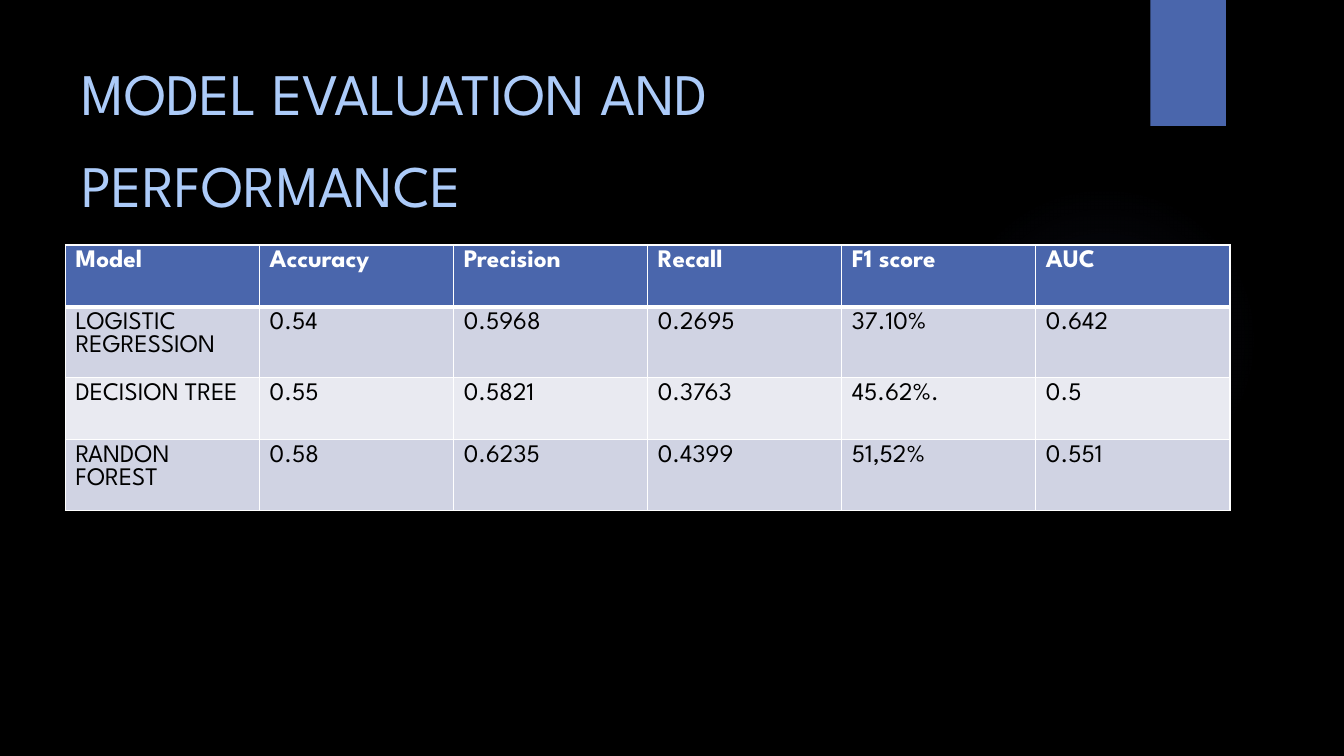
from lxml import etree
from pptx import Presentation
from pptx.dml.color import RGBColor
from pptx.enum.shapes import MSO_SHAPE as SHAPE
from pptx.enum.text import MSO_ANCHOR as ANCHOR
from pptx.oxml import parse_xml
from pptx.oxml.ns import nsdecls, qn
from pptx.util import Inches, Pt

FONT = "League Spartan"
BLACK = RGBColor(0x00, 0x00, 0x00)
WHITE = RGBColor(0xFF, 0xFF, 0xFF)
BLUE = RGBColor(0x4A, 0x66, 0xAC)
SKY = RGBColor(0xAC, 0xCB, 0xF9)
GLOW = RGBColor(0x5C, 0x64, 0xB7)
BAND_DARK = RGBColor(0xD0, 0xD3, 0xE3)
BAND_LIGHT = RGBColor(0xE9, 0xEA, 0xF1)

GLOW_STOPS = [(0, 7), (36, 6), (69, 0), (100, 0)]  # position %, opacity %
COL_WIDTH, ROW_HEIGHT = 1.925, 0.615
SCORES = [
    ["Model", "Accuracy", "Precision", "Recall", "F1 score", "AUC"],
    ["LOGISTIC REGRESSION", "0.54", "0.5968", "0.2695", "37.10%", "0.642"],
    ["DECISION TREE", "0.55", "0.5821", "0.3763", "45.62%.", "0.5"],
    ["RANDON FOREST", "0.58", "0.6235", "0.4399", "51,52%", "0.551"],
]


def box(*lengths):
    return [Inches(length) for length in lengths]


def style_run(r, size, color, bold=False):
    r.font.name = FONT
    r.font.size = Pt(size)
    r.font.bold = bold
    r.font.color.rgb = color


def add_plain_shape(slide, kind, place, color):
    sp = slide.shapes.add_shape(kind, *box(*place))
    sp.shadow.inherit = False
    sp.fill.solid()
    sp.fill.fore_color.rgb = color
    sp.line.fill.background()
    return sp


def add_glow(slide, place):
    """Draw a disc that fades out from its centre."""
    sp = add_plain_shape(slide, SHAPE.OVAL, place, GLOW)
    stops = "".join(
        f'<a:gs pos="{pos * 1000}"><a:srgbClr val="{GLOW}">'
        f'<a:alpha val="{alpha * 1000}"/></a:srgbClr></a:gs>'
        for pos, alpha in GLOW_STOPS)
    gradient = parse_xml(
        f'<a:gradFill {nsdecls("a")}><a:gsLst>{stops}</a:gsLst>'
        '<a:path path="circle"><a:fillToRect l="50000" t="50000" r="50000" b="50000"/>'
        '</a:path></a:gradFill>')
    props = sp.element.spPr
    props.replace(props.find(qn("a:solidFill")), gradient)


def add_title(slide, text, place):
    tf = slide.shapes.add_textbox(*box(*place)).text_frame
    tf.word_wrap = True
    tf.vertical_anchor = ANCHOR.MIDDLE
    p = tf.paragraphs[0]
    p.text = text
    p.line_spacing = 1.3
    style_run(p.runs[0], 42, SKY)


def set_borders(cell, widths):
    """Give the cell white edges; widths maps L, R, T, B to points."""
    props = cell._tc.get_or_add_tcPr()
    for index, (side, width) in enumerate(widths.items()):
        line = etree.Element(qn(f"a:ln{side}"), w=str(Pt(width)))
        fill = etree.SubElement(line, qn("a:solidFill"))
        etree.SubElement(fill, qn("a:srgbClr"), val=str(WHITE))
        props.insert(index, line)


def add_score_table(slide, rows, left, top):
    n_rows, n_cols = len(rows), len(rows[0])
    place = box(left, top, n_cols * COL_WIDTH, n_rows * ROW_HEIGHT)
    table = slide.shapes.add_table(n_rows, n_cols, *place).table
    for i, row in enumerate(rows):
        header = i == 0
        fill = BLUE if header else BAND_DARK if i % 2 else BAND_LIGHT
        widths = {"L": 1, "R": 1, "T": 3 if i == 1 else 1, "B": 3 if header else 1}
        for j, text in enumerate(row):
            cell = table.cell(i, j)
            cell.fill.solid()
            cell.fill.fore_color.rgb = fill
            set_borders(cell, widths)
            cell.text_frame.text = text
            r = cell.text_frame.paragraphs[0].runs[0]
            style_run(r, 18, WHITE if header else BLACK, header)


def main():
    prs = Presentation()
    prs.slide_width, prs.slide_height = box(13.33, 7.5)
    slide = prs.slides.add_slide(prs.slide_layouts[6])
    slide.background.fill.solid()
    slide.background.fill.fore_color.rgb = BLACK
    add_glow(slide, (9.41, 1.83, 3.08, 3.08))
    add_plain_shape(slide, SHAPE.RECTANGLE, (11.41, 0, 0.75, 1.25), BLUE)
    add_title(slide, "MODEL EVALUATION AND PERFORMANCE", (0.71, 0.5, 10.29, 1.53))
    add_score_table(slide, SCORES, 0.65, 2.43)
    prs.save("out.pptx")


if __name__ == "__main__":
    main()
